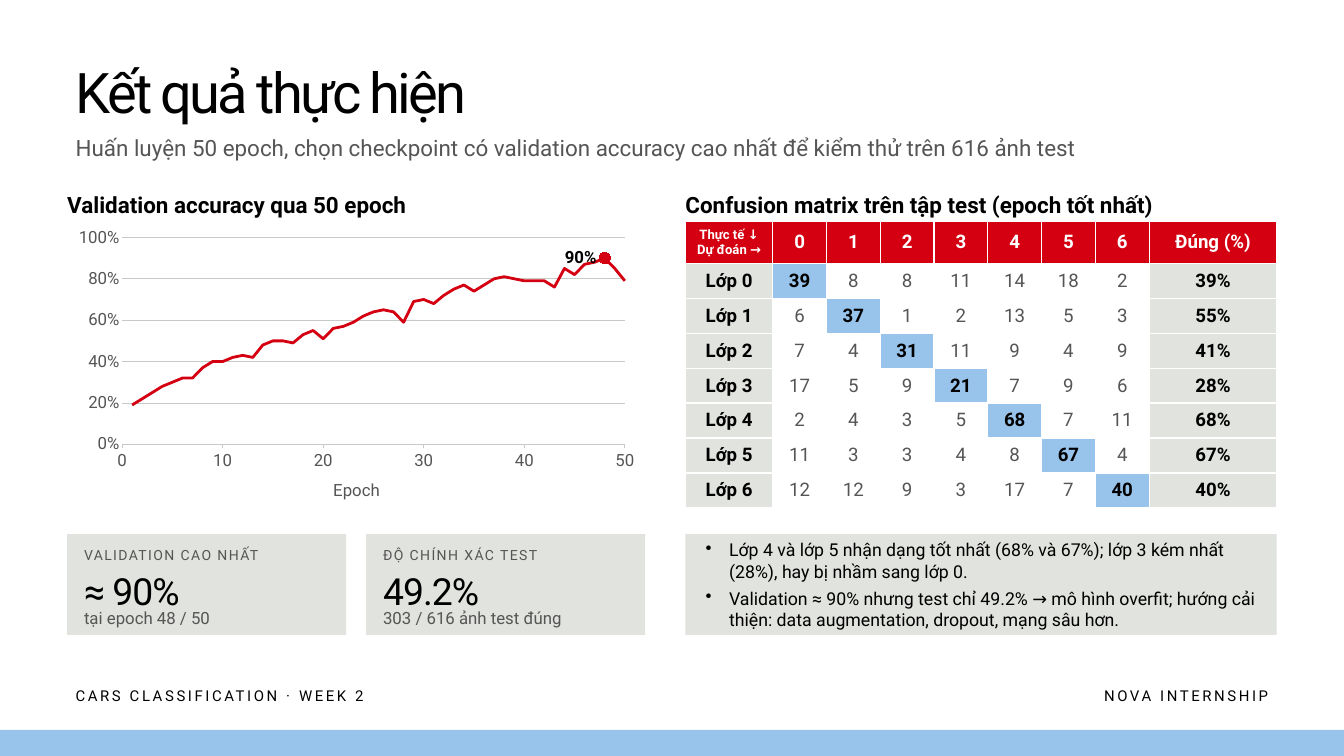
from lxml import etree
from pptx import Presentation
from pptx.chart.data import XyChartData
from pptx.dml.color import RGBColor
from pptx.enum import chart as charts, shapes, text
from pptx.oxml import parse_xml
from pptx.oxml.ns import nsdecls, qn
from pptx.util import Pt

FONT = "Roboto"
BLACK = RGBColor(0x00, 0x00, 0x00)
WHITE = RGBColor(0xFF, 0xFF, 0xFF)
GRAY = RGBColor(0x55, 0x55, 0x55)
RULE = RGBColor(0xC8, 0xCA, 0xC5)
PANEL = RGBColor(0xE1, 0xE3, 0xDE)
RED = RGBColor(0xD4, 0x00, 0x11)
BLUE = RGBColor(0x98, 0xC4, 0xEC)
LEFT, CENTER, RIGHT = text.PP_ALIGN.LEFT, text.PP_ALIGN.CENTER, text.PP_ALIGN.RIGHT
TOP, MIDDLE = text.MSO_ANCHOR.TOP, text.MSO_ANCHOR.MIDDLE

ACCURACY = [
    19, 22, 25, 28, 30, 32, 32, 37, 40, 40, 42, 43, 42, 48, 50, 50, 49,
    53, 55, 51, 56, 57, 59, 62, 64, 65, 64, 59, 69, 70, 68, 72, 75, 77,
    74, 77, 80, 81, 80, 79, 79, 79, 76, 85, 82, 87, 88, 90, 85, 79,
]
CONFUSION = [
    [39, 8, 8, 11, 14, 18, 2],
    [6, 37, 1, 2, 13, 5, 3],
    [7, 4, 31, 11, 9, 4, 9],
    [17, 5, 9, 21, 7, 9, 6],
    [2, 4, 3, 5, 68, 7, 11],
    [11, 3, 3, 4, 8, 67, 4],
    [12, 12, 9, 3, 17, 7, 40],
]
FINDINGS = [
    "Lớp 4 và lớp 5 nhận dạng tốt nhất (68% và 67%); lớp 3 kém nhất (28%), "
    "hay bị nhầm sang lớp 0.",
    "Validation ≈ 90% nhưng test chỉ 49.2% → mô hình overfit; hướng cải thiện: "
    "data augmentation, dropout, mạng sâu hơn.",
]


def style(font, size, color, bold=False):
    font.name, font.size, font.bold = FONT, Pt(size), bold
    font.color.rgb = color


def write(frame, lines, size=18, color=BLACK, bold=False, spacing=0,
          align=LEFT, bullet=False, gap=0):
    """Fill a text frame with one paragraph for each line."""
    for i, line in enumerate(lines):
        paragraph = frame.paragraphs[0] if i == 0 else frame.add_paragraph()
        paragraph.alignment = align
        if bullet:
            props = paragraph._p.get_or_add_pPr()
            props.set("marL", str(Pt(25.2)))
            props.set("indent", str(-Pt(25.2)))
            etree.SubElement(props, qn("a:buChar")).set("char", "•")
        if gap and i < len(lines) - 1:
            paragraph.space_after = Pt(gap)
        run = paragraph.add_run()
        run.text = line
        style(run.font, size, color, bold)
        if spacing:
            run._r.get_or_add_rPr().set("spc", str(round(spacing * 100)))


def set_frame(frame, anchor=TOP):
    frame.word_wrap = True
    frame.auto_size = text.MSO_AUTO_SIZE.NONE
    frame.vertical_anchor = anchor
    frame.margin_left = frame.margin_right = frame.margin_top = frame.margin_bottom = 0


def add_text(slide, box, *lines, anchor=TOP, **fmt):
    frame = slide.shapes.add_textbox(*map(Pt, box)).text_frame
    set_frame(frame, anchor)
    write(frame, lines, **fmt)


def add_rect(slide, box, color):
    rect = slide.shapes.add_shape(shapes.MSO_SHAPE.RECTANGLE, *map(Pt, box))
    rect.shadow.inherit = False
    rect.fill.solid()
    rect.fill.fore_color.rgb = color
    rect.line.fill.background()


def add_heading(slide, box):
    x, y, w, h = box
    title = slide.shapes.title
    title.left, title.top, title.width, title.height = map(Pt, (x, y, w, 75.6))
    set_frame(title.text_frame)
    write(title.text_frame, ["Kết quả thực hiện"], size=60, spacing=-3)
    add_text(slide, (x, y + h - 36, w, 36),
             "Huấn luyện 50 epoch, chọn checkpoint có validation accuracy cao nhất "
             "để kiểm thử trên 616 ảnh test", size=24, color=GRAY)


def add_footer(slide, box):
    x, y, w, h = box
    half = 576
    add_text(slide, (x, y, half, h), "CARS CLASSIFICATION · WEEK 2", size=16, spacing=2.8)
    add_text(slide, (x + w - half, y, half, h), "NOVA INTERNSHIP",
             size=16, spacing=2.8, align=RIGHT)
    add_rect(slide, (0, 782, 1440, 28), BLUE)


def add_accuracy_chart(slide, box):
    data = XyChartData()
    points = data.add_series("Validation accuracy")
    for epoch, accuracy in enumerate(ACCURACY, 1):
        points.add_data_point(epoch, accuracy)
    chart = slide.shapes.add_chart(
        charts.XL_CHART_TYPE.XY_SCATTER_LINES_NO_MARKERS, *map(Pt, box), data).chart
    chart.has_legend = chart.has_title = False
    style(chart.font, 18, GRAY)
    chart.plots[0].vary_by_categories = False

    # Axes
    epochs, percent = chart.category_axis, chart.value_axis
    for axis, top, step in ((epochs, 50, 10), (percent, 100, 20)):
        axis.minimum_scale, axis.maximum_scale, axis.major_unit = 0, top, step
        axis.minor_tick_mark = charts.XL_TICK_MARK.NONE
        style(axis.tick_labels.font, 18, GRAY)
    epochs.has_major_gridlines = False
    epochs.major_tick_mark = charts.XL_TICK_MARK.OUTSIDE
    percent.major_tick_mark = charts.XL_TICK_MARK.NONE
    percent.has_major_gridlines = True
    for line in (epochs.format.line, percent.major_gridlines.format.line):
        line.color.rgb, line.width = RULE, Pt(0.75)
    percent.format.line.fill.background()
    percent.tick_labels.number_format = '0"%"'
    percent.tick_labels.number_format_is_linked = False
    write(epochs.axis_title.text_frame, ["Epoch"], color=GRAY, align=CENTER)

    # Accuracy line with its best epoch marked
    series = chart.plots[0].series[0]
    series.smooth = False
    best = ACCURACY.index(max(ACCURACY))
    peak = series.points[best]
    for line in (series.format.line, peak.format.line):
        line.color.rgb, line.width = RED, Pt(3)
    peak.marker.style, peak.marker.size = charts.XL_MARKER_STYLE.CIRCLE, 12
    peak.marker.format.fill.solid()
    peak.marker.format.fill.fore_color.rgb = RED
    peak.marker.format.line.color.rgb = RED
    write(peak.data_label.text_frame, [f"{ACCURACY[best]}%"], bold=True, align=CENTER)
    peak.data_label.position = charts.XL_LABEL_POSITION.LEFT

    # Fixed plot area inside the chart
    area = chart._chartSpace.chart.plotArea
    for old in area.findall(qn("c:layout")):
        area.remove(old)
    sizes = "".join(f'<c:{key} val="{value}"/>' for key, value in (
        ("layoutTarget", "inner"), ("xMode", "edge"), ("yMode", "edge"),
        ("x", 0.095), ("y", 0.053), ("w", 0.87), ("h", 0.7)))
    area.insert(0, parse_xml(f'<c:layout {nsdecls("c")}><c:manualLayout>{sizes}'
                             '</c:manualLayout></c:layout>'))


def fill_cell(cell, *lines, fill, **fmt):
    props = cell._tc.get_or_add_tcPr()
    for side in ("lnL", "lnR", "lnT", "lnB"):
        props.append(parse_xml(
            f'<a:{side} {nsdecls("a")} w="{Pt(1.5)}"><a:solidFill>'
            f'<a:srgbClr val="{WHITE}"/></a:solidFill></a:{side}>'))
    cell.fill.solid()
    cell.fill.fore_color.rgb = fill
    cell.vertical_anchor = MIDDLE
    cell.margin_left = cell.margin_right = Pt(5.76)
    cell.margin_top = cell.margin_bottom = Pt(2.16)
    write(cell.text_frame, lines, align=CENTER, **fmt)


def add_confusion_table(slide, box):
    classes = len(CONFUSION)
    last = classes + 1
    table = slide.shapes.add_table(classes + 1, classes + 2, *map(Pt, box)).table
    table.first_row = table.horz_banding = False
    for column, width in zip(table.columns, [93.6] + [57.6] * classes + [136.8]):
        column.width = Pt(width)
    for row, height in zip(table.rows, [44.64] + [37.44] * classes):
        row.height = Pt(height)

    # Header row
    fill_cell(table.cell(0, 0), "Thực tế ↓", "Dự đoán →",
              fill=RED, size=14, color=WHITE, bold=True)
    for c, label in enumerate([*range(classes), "Đúng (%)"], 1):
        fill_cell(table.cell(0, c), str(label), fill=RED, size=20, color=WHITE, bold=True)

    # One row for each class, with its share of right answers
    for r, counts in enumerate(CONFUSION, 1):
        share = f"{counts[r - 1] / sum(counts):.0%}"
        for c, value in enumerate([f"Lớp {r - 1}", *counts, share]):
            edge, hit = c in (0, last), c == r
            fill_cell(table.cell(r, c), str(value), size=20, bold=edge or hit,
                      color=BLACK if edge or hit else GRAY,
                      fill=PANEL if edge else BLUE if hit else WHITE)


def add_score_card(slide, box, label, score, detail):
    x, y, w, _ = box
    add_rect(slide, box, PANEL)
    x, w = x + 18, w - 36
    add_text(slide, (x, y + 13, w, 21.6), label, size=15, color=GRAY, spacing=1.5)
    add_text(slide, (x, y + 36, w, 46.8), score, size=40, spacing=-1)
    add_text(slide, (x, y + 79.2, w, 21.6), detail, color=GRAY)


def add_findings(slide, box):
    x, y, w, h = box
    add_rect(slide, box, PANEL)
    add_text(slide, (x + 21.6, y, w - 43.2, h), *FINDINGS,
             anchor=MIDDLE, size=19, bullet=True, gap=6)


def add_validation_column(slide, box):
    x, y, w, h = box
    add_text(slide, (x, y, w, 32.4), "Validation accuracy qua 50 epoch", size=24, bold=True)
    add_accuracy_chart(slide, (x, y + 32.4, w, 316.8))
    gap = 21.6
    card = (w - gap) / 2
    scores = [("VALIDATION CAO NHẤT", "≈ 90%", "tại epoch 48 / 50"),
              ("ĐỘ CHÍNH XÁC TEST", "49.2%", "303 / 616 ảnh test đúng")]
    for i, score in enumerate(scores):
        add_score_card(slide, (x + i * (card + gap), y + h - 108, card, 108), *score)


def add_test_column(slide, box):
    x, y, w, h = box
    add_text(slide, (x, y, w, 32.4), "Confusion matrix trên tập test (epoch tốt nhất)",
             size=24, bold=True)
    add_confusion_table(slide, (x, y + 32.4, w, 306.72))
    add_findings(slide, (x, y + h - 108, w, 108))


def main():
    deck = Presentation()
    deck.slide_width, deck.slide_height = Pt(1440), Pt(810)
    slide = deck.slides.add_slide(deck.slide_layouts[5])
    add_heading(slide, (81, 61.2, 1278, 118.8))
    add_footer(slide, (81, 736, 1278, 21.6))
    add_validation_column(slide, (72, 205.2, 619.2, 475.2))
    add_test_column(slide, (734.4, 205.2, 633.6, 475.2))
    deck.save("out.pptx")


if __name__ == "__main__":
    main()
